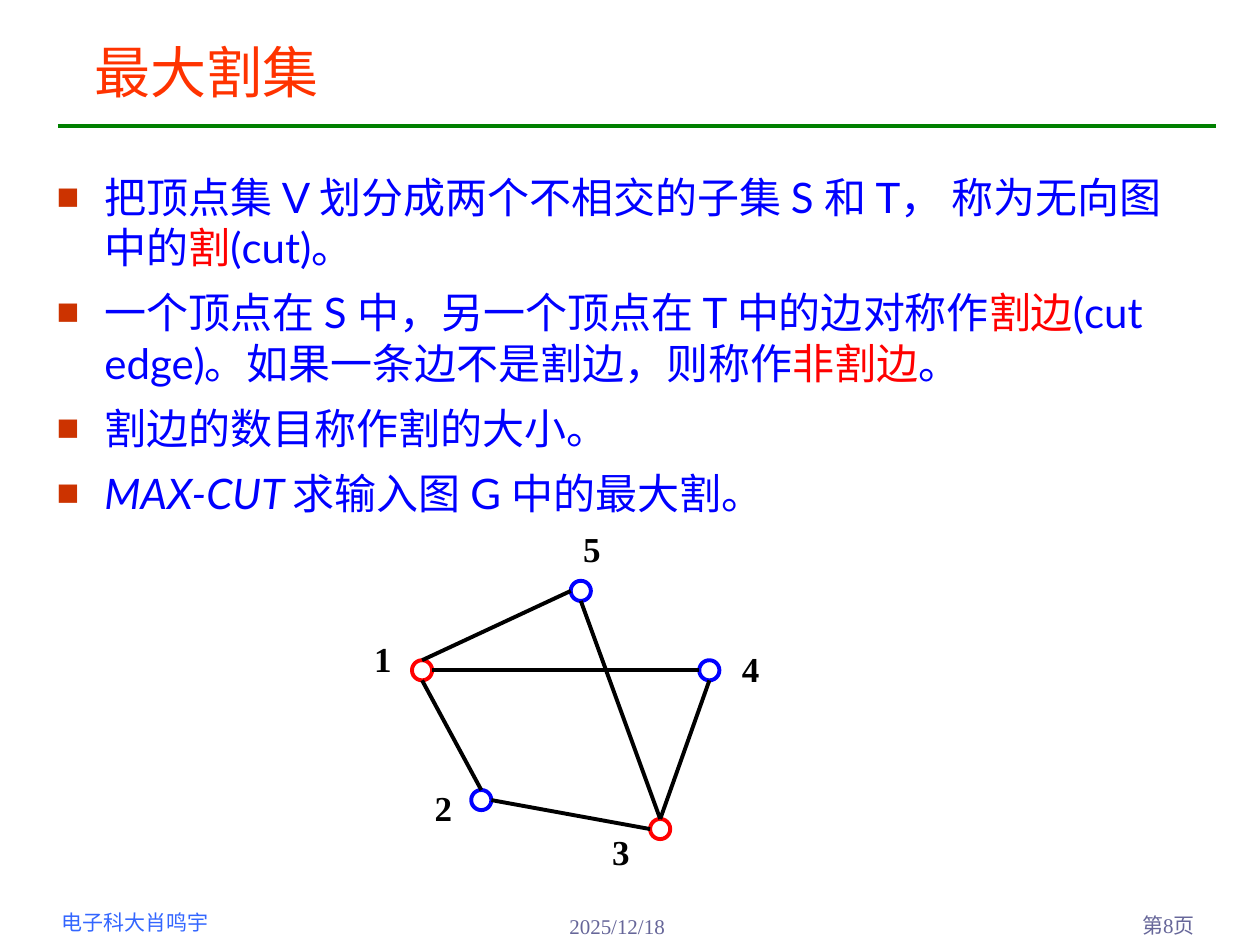
from lxml.etree import SubElement
from pptx import Presentation
from pptx.dml.color import RGBColor
from pptx.enum.shapes import MSO_CONNECTOR, MSO_SHAPE
from pptx.enum.text import MSO_ANCHOR, MSO_AUTO_SIZE, PP_ALIGN
from pptx.oxml.ns import qn
from pptx.util import Inches, Pt

THEME = {
    "title": "FF3300", "rule": "008000", "body": "0000FF", "accent": "FF0000",
    "bullet": "CC3300", "footer": "3366FF", "meta": "666699", "ink": "000000",
    "title_size": 32, "body_size": 24, "label_size": 20, "footer_size": 12,
    "line": 2.25, "cjk": "Noto Sans CJK SC", "latin": "Lato",
    "serif": "Times New Roman", "sans": "Arial",
}

TITLE = "最大割集"
# Each bullet is a list of (text, style) pieces.
BULLETS = [
    [("把顶点集 V 划分成两个不相交的子集 S 和 T， 称为无向图中的", "plain"),
     ("割", "accent"), ("(cut)。", "plain")],
    [("一个顶点在 S 中，另一个顶点在 T 中的边对称作", "plain"),
     ("割边", "accent"),
     ("(cut edge)。如果一条边不是割边，则称作", "plain"),
     ("非割边", "accent"), ("。", "plain")],
    [("割边的数目称作割的大小。", "plain")],
    [("MAX-CUT ", "italic"), ("求输入图 G 中的最大割。", "plain")],
]
# Text, box (left, top, width, height), font, colour, alignment
FOOTERS = [
    ("电子科大肖鸣宇", (0.39, 7.17, 2.01, 0.3), "sans", "footer", PP_ALIGN.LEFT),
    ("2025/12/18", (4.42, 7.2, 1.99, 0.3), "serif", "meta", PP_ALIGN.LEFT),
    ("第8页", (8.7, 7.19, 0.88, 0.31), "serif", "meta", PP_ALIGN.RIGHT),
]
# Vertex: centre, colour, top left of its label
VERTICES = {
    "1": ((3.35, 5.32), "accent", (2.87, 5.01)),
    "2": ((3.82, 6.35), "body", (3.35, 6.19)),
    "3": ((5.24, 6.58), "accent", (4.76, 6.54)),
    "4": ((5.63, 5.32), "body", (5.79, 5.09)),
    "5": ((4.61, 4.69), "body", (4.53, 4.14)),
}
# Edge: vertex and side where it starts, vertex and side where it ends
EDGES = [
    ("1", "right", "4", "left"), ("1", "top", "5", "left"),
    ("1", "bottom", "2", "top"), ("5", "bottom", "3", "top"),
    ("2", "right", "3", "left"), ("4", "bottom", "3", "top"),
]
RADIUS = 0.08
SIDES = {"top": (0, -RADIUS), "bottom": (0, RADIUS),
         "left": (-RADIUS, 0), "right": (RADIUS, 0)}


def color(name):
    return RGBColor.from_string(THEME[name])


def place(shape, frame):
    shape.left, shape.top, shape.width, shape.height = map(Inches, frame)


def add_span(para, text, *, font, size, ink, bold=False, italic=False):
    span = para.add_run()
    span.text = text
    span.font.name = THEME[font]
    span.font.size = Pt(THEME[size])
    span.font.color.rgb = color(ink)
    span.font.bold = bold
    span.font.italic = italic
    east_asian = SubElement(span.font._element, qn("a:ea"))
    east_asian.set("typeface", THEME["cjk"])
    span.font._element.find(qn("a:latin")).addnext(east_asian)


def add_box(slide, frame):
    box = slide.shapes.add_textbox(*map(Inches, frame))
    box.text_frame.word_wrap = True
    return box.text_frame


def add_text(slide, text, frame, *, align=PP_ALIGN.LEFT, **style):
    para = add_box(slide, frame).paragraphs[0]
    para.alignment = align
    add_span(para, text, **style)


def add_line(slide, start, end, ink):
    line = slide.shapes.add_connector(
        MSO_CONNECTOR.STRAIGHT, *map(Inches, (*start, *end)))
    line.line.color.rgb = color(ink)
    line.line.width = Pt(THEME["line"])
    SubElement(line._element.spPr, qn("a:effectLst"))


def set_bullet(para):
    properties = para._p.get_or_add_pPr()
    properties.set("marL", str(Inches(0.38)))
    properties.set("indent", str(-Inches(0.38)))
    tint = SubElement(properties, qn("a:buClr"))
    SubElement(tint, qn("a:srgbClr")).set("val", THEME["bullet"])
    SubElement(properties, qn("a:buSzPct")).set("val", "90000")
    SubElement(properties, qn("a:buFont")).set("typeface", THEME["sans"])
    SubElement(properties, qn("a:buChar")).set("char", "■")


def add_title(slide):
    title = slide.shapes.title
    place(title, (0.65, 0.21, 8.83, 0.67))
    frame = title.text_frame
    frame.auto_size = MSO_AUTO_SIZE.NONE
    frame.vertical_anchor = MSO_ANCHOR.BOTTOM
    frame.paragraphs[0].alignment = PP_ALIGN.LEFT
    add_span(frame.paragraphs[0], TITLE, font="cjk", size="title_size", ink="title")


def add_bullets(slide):
    frame = add_box(slide, (0.35, 1.31, 9.29, 2.84))
    for index, pieces in enumerate(BULLETS):
        para = frame.add_paragraph() if index else frame.paragraphs[0]
        set_bullet(para)
        if index:
            para.space_before = Pt(8.4)
        for text, style in pieces:
            add_span(para, text, font="latin", size="body_size",
                     ink="accent" if style == "accent" else "body",
                     italic=style == "italic")


def add_graph(slide):
    for name, ((x, y), ink, corner) in VERTICES.items():
        vertex = slide.shapes.add_shape(
            MSO_SHAPE.OVAL,
            *map(Inches, (x - RADIUS, y - RADIUS, 2 * RADIUS, 2 * RADIUS)))
        vertex.shadow.inherit = False
        vertex.fill.background()
        vertex.line.color.rgb = color(ink)
        vertex.line.width = Pt(THEME["line"])
        add_text(slide, name, (*corner, 0.35, 0.43), font="serif",
                 size="label_size", ink="ink", bold=True)

    def anchor(name, side):
        return [c + shift for c, shift in zip(VERTICES[name][0], SIDES[side])]

    for start, start_side, end, end_side in EDGES:
        add_line(slide, anchor(start, start_side), anchor(end, end_side), "ink")


def main():
    deck = Presentation()
    deck.slide_width, deck.slide_height = Inches(10), Inches(7.5)
    slide = deck.slides.add_slide(deck.slide_layouts[5])
    add_line(slide, (0.46, 1), (9.65, 1), "rule")
    add_title(slide)
    add_bullets(slide)
    add_graph(slide)
    for text, frame, font, ink, align in FOOTERS:
        add_text(slide, text, frame, align=align, font=font,
                 size="footer_size", ink=ink)
    deck.save("out.pptx")


if __name__ == "__main__":
    main()
